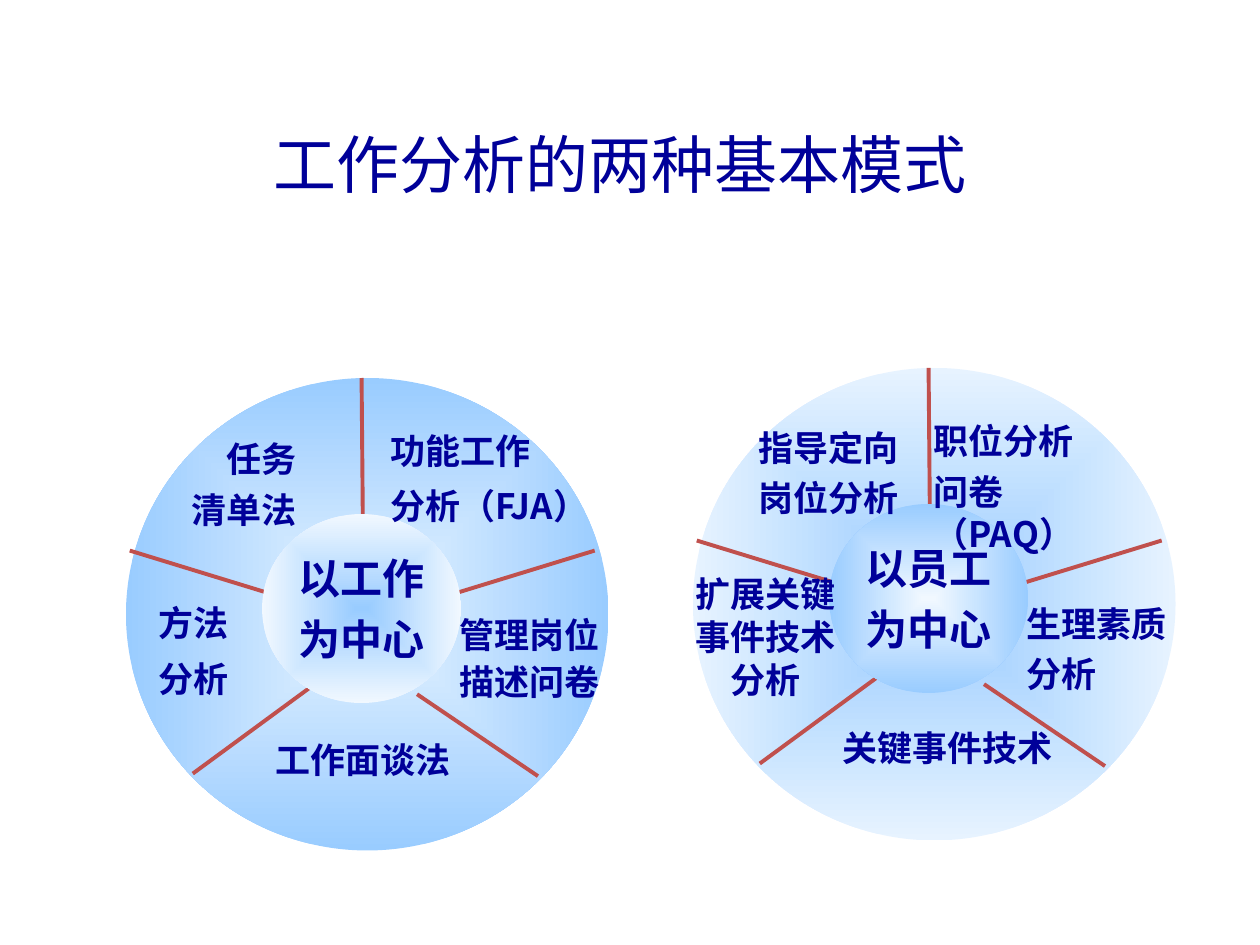
import lxml.etree
import pptx
import pptx.dml.color
import pptx.enum.shapes
import pptx.enum.text
import pptx.oxml.ns
import pptx.util

WIDTH, HEIGHT = 10, 7.5
COLUMNS, ROWS = 383, 375
FONT = "Noto Sans CJK SC"
NAVY, RED = "000099", "C0504D"
SKY, PALE, PALEST = "99CCFF", "E7F3FF", "F1F8FF"
ALIGN = pptx.enum.text.PP_ALIGN
ANCHOR = pptx.enum.text.MSO_ANCHOR
OVAL = pptx.enum.shapes.MSO_SHAPE.OVAL
FIT = pptx.enum.text.MSO_AUTO_SIZE.SHAPE_TO_FIT_TEXT

HUB = (108, 108, 158, 150)
SPOKES = [
    (261, 171, 372, 137),
    (231, 251, 327, 316),
    (53, 314, 147, 245),
    (187, 0, 188, 116),
    (114, 171, 3, 137),
]
LOOSE = {"line_spacing": 0.8, "space_before": pptx.util.Pt(12.5)}
SPACED = {"space_before": pptx.util.Pt(5)}
WIDE = {"line_spacing": 1.2}
DENSE = {"line_spacing": 0.5, "space_before": pptx.util.Pt(12.5), "alignment": ALIGN.CENTER}
HUB_FORMAT = {"space_before": pptx.util.Pt(6), "alignment": ALIGN.CENTER}
MARGINS = {
    ALIGN.LEFT: {"margin_right": 0},
    ALIGN.RIGHT: {"margin_left": 0},
    ALIGN.CENTER: {"margin_left": 0, "margin_right": 0},
}

WHEELS = [
    {
        "box": (1, 3, 3.83, 3.75),
        "rim": (PALE, SKY),
        "core": (SKY, PALEST),
        "centre": ["以工作", "为中心"],
        "methods": [
            ((200, 42, 195, 81), ["功能工作", "分析（FJA）"], LOOSE),
            ((255, 179, 131, 84), ["管理岗位", "描述问卷"], {"line_spacing": 1.1}),
            ((109, 281, 159, 44), ["工作面谈法"], {}),
            ((16, 179, 75, 81), ["方法", "分析"], LOOSE),
            ((42, 36, 103, 90), ["任务", "清单法"], WIDE | {"alignment": ALIGN.RIGHT}),
        ],
    },
    {
        "box": (5.5, 2.92, 3.83, 3.75),
        "rim": (SKY, PALE),
        "core": (PALEST, SKY),
        "centre": ["以员工", "为中心"],
        "methods": [
            ((181, 36, 195, 84), ["职位分析", "问卷\v（PAQ）"], SPACED),
            ((255, 181, 131, 84), ["生理素质", "分析"], SPACED),
            ((109, 280, 187, 44), ["关键事件技术"], {}),
            ((-8, 172, 131, 95), ["扩展关键", "事件技术", "分析"], DENSE),
            ((42, 35, 131, 90), ["指导定向", "岗位分析"], WIDE),
        ],
    },
]


def colour(code):
    """Turn a hex string into a colour."""
    return pptx.dml.color.RGBColor.from_string(code)


def apply(target, values):
    """Set each attribute named in values on target."""
    for name, value in values.items():
        setattr(target, name, value)


def place(box, cell):
    """Convert a cell of the wheel grid to lengths inside box."""
    left, top, width, height = box
    x, y, across, down = cell
    return [
        pptx.util.Inches(length)
        for length in (
            left + x * width / COLUMNS,
            top + y * height / ROWS,
            across * width / COLUMNS,
            down * height / ROWS,
        )
    ]


def write(frame, lines, size, bold, formats):
    """Write lines into frame, one paragraph each."""
    for index, line in enumerate(lines):
        paragraph = frame.add_paragraph() if index else frame.paragraphs[0]
        paragraph.text = line
        apply(paragraph, formats)
        if not index:
            paragraph.space_before = pptx.util.Pt(0)
        for run in paragraph.runs:
            apply(run.font, {"name": FONT, "size": pptx.util.Pt(size), "bold": bold})
            run.font.color.rgb = colour(NAVY)
            east_asian = lxml.etree.SubElement(
                run._r.get_or_add_rPr(), pptx.oxml.ns.qn("a:ea")
            )
            east_asian.set("typeface", FONT)


def add_disc(shapes, bounds, shades):
    """Add an ellipse shaded from its middle outwards."""
    disc = shapes.add_shape(OVAL, *bounds)
    disc.shadow.inherit = False
    disc.line.fill.background()
    disc.fill.gradient()
    for stop, shade in zip(disc.fill.gradient_stops, shades):
        stop.color.rgb = colour(shade)
    gradient = disc._element.spPr.find(pptx.oxml.ns.qn("a:gradFill"))
    linear = gradient.find(pptx.oxml.ns.qn("a:lin"))
    radial = lxml.etree.Element(pptx.oxml.ns.qn("a:path"), path="rect")
    focus = lxml.etree.SubElement(radial, pptx.oxml.ns.qn("a:fillToRect"))
    for side in "ltrb":
        focus.set(side, "50000")
    gradient.replace(linear, radial)
    return disc


def add_spoke(shapes, box, ends):
    """Add one dividing line of a wheel."""
    x1, y1, x2, y2 = ends
    start = place(box, (x1, y1, 0, 0))[:2]
    finish = place(box, (x2, y2, 0, 0))[:2]
    spoke = shapes.add_connector(
        pptx.enum.shapes.MSO_CONNECTOR.STRAIGHT, *start, *finish
    )
    spoke.line.color.rgb = colour(RED)
    spoke.line.width = pptx.util.Pt(2.25)
    lxml.etree.SubElement(spoke._element.spPr, pptx.oxml.ns.qn("a:effectLst"))


def add_method(shapes, bounds, lines, formats):
    """Add the name of one method in its sector."""
    frame = shapes.add_textbox(*bounds).text_frame
    apply(frame, {"word_wrap": True, "auto_size": FIT})
    apply(frame, MARGINS[formats.get("alignment", ALIGN.LEFT)])
    write(frame, lines, 20, True, formats)


def add_wheel(slide, box, rim, core, centre, methods):
    """Build a wheel of methods around its centre within box."""
    shapes = slide.shapes.add_group_shape().shapes
    add_disc(shapes, place(box, (0, 0, COLUMNS, ROWS)), rim)
    for ends in SPOKES:
        add_spoke(shapes, box, ends)
    hub = add_disc(shapes, place(box, HUB), core).text_frame
    apply(hub, {"word_wrap": False, "vertical_anchor": ANCHOR.MIDDLE})
    write(hub, centre, 24, True, HUB_FORMAT)
    for cell, lines, formats in methods:
        add_method(shapes, place(box, cell), lines, formats)


def add_title(slide, box):
    """Place the slide title within box."""
    frame = slide.shapes.add_textbox(*map(pptx.util.Inches, box)).text_frame
    apply(frame, {"word_wrap": True, "vertical_anchor": ANCHOR.MIDDLE})
    write(frame, ["工作分析的两种基本模式"], 36, False, {"alignment": ALIGN.CENTER})


def main():
    """Build and save the slide."""
    deck = pptx.Presentation()
    apply(deck, {
        "slide_width": pptx.util.Inches(WIDTH),
        "slide_height": pptx.util.Inches(HEIGHT),
    })
    slide = deck.slides.add_slide(deck.slide_layouts[6])
    for wheel in WHEELS:
        add_wheel(slide, **wheel)
    add_title(slide, (0.67, 0.67, 8.5, 1.25))
    deck.save("out.pptx")


if __name__ == "__main__":
    main()
